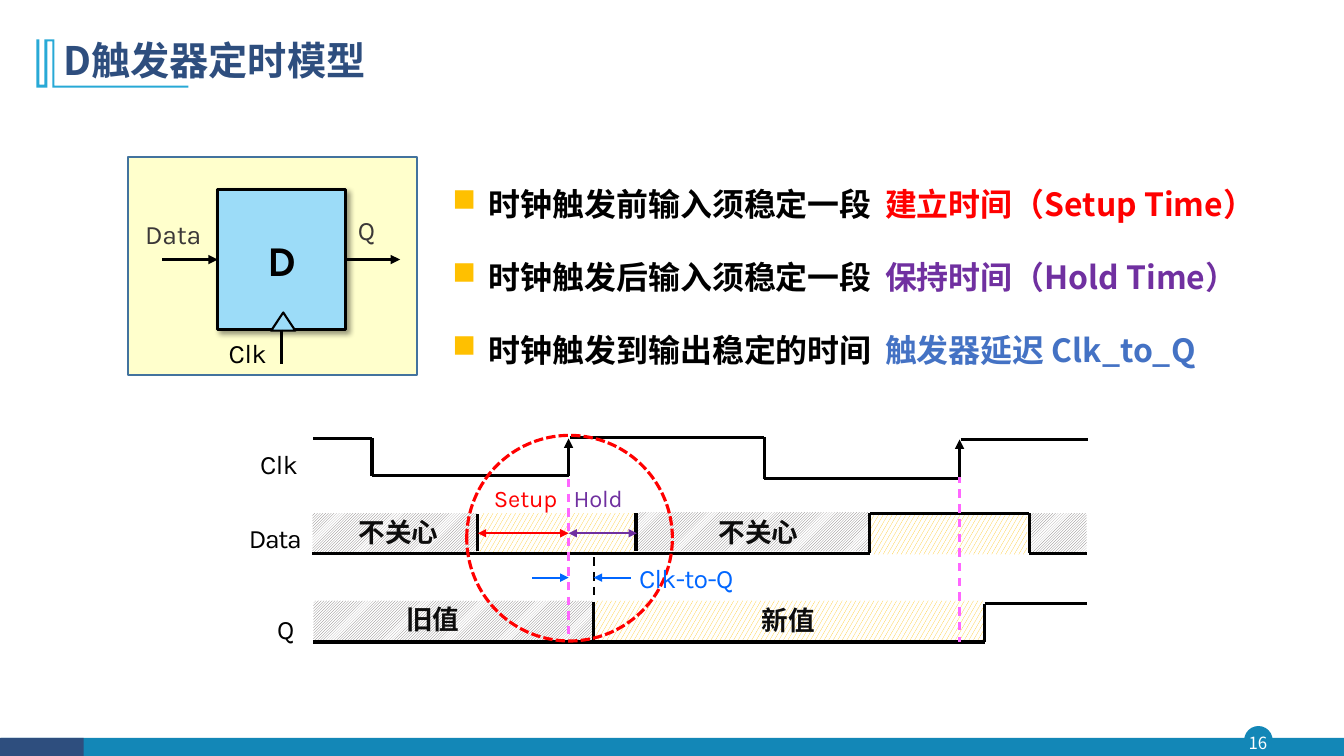
from dataclasses import dataclass
from itertools import pairwise

from lxml import etree
from pptx import Presentation
from pptx import util as u
from pptx.dml.color import RGBColor
from pptx.enum import dml, shapes, text
from pptx.oxml.ns import qn

Pt = u.Pt
Shape = shapes.MSO_SHAPE
Dash = dml.MSO_LINE
Align = text.PP_ALIGN
Spot = tuple[float, float]


@dataclass(frozen=True)
class Theme:
    sans: str = "Karla"
    han: str = "Noto Sans CJK SC"
    black: str = "000000"
    ink: str = "0D0D0D"
    gray: str = "3B3838"
    white: str = "FFFFFF"
    navy: str = "2E4E7E"
    teal: str = "1387B7"
    sky: str = "28A9D6"
    red: str = "FF0000"
    violet: str = "7030A0"
    blue: str = "0066FF"
    steel: str = "4472C4"
    pink: str = "FF66FF"
    gold: str = "FFC000"
    shade: str = "767171"
    cream: str = "FFFFCC"
    pale: str = "9CDCF8"
    edge: str = "43739E"
    title: float = 28
    body: float = 22.8
    gate: float = 30.3
    label: float = 19
    small: float = 17
    page: float = 12
    thick: float = 2.25
    thin: float = 1.5


T = Theme()


@dataclass(frozen=True)
class Label:
    text: str
    x: float
    y: float
    wide: float
    color: str = T.black
    font: str = T.sans
    size: float = T.label
    bold: bool = False
    space: int = -10


@dataclass(frozen=True)
class Wire:
    start: Spot
    end: Spot
    color: str = T.black
    width: float = T.thick
    dash: Dash | None = None
    head: bool = False
    tail: bool = False


@dataclass(frozen=True)
class Band:
    x: float
    y: float
    wide: float
    high: float = 28.1
    valid: bool = False


@dataclass(frozen=True)
class Point:
    lead: str
    term: str
    color: str


def rgb(code: str) -> RGBColor:
    return RGBColor.from_string(code)


def style(par, font: str, size: float, color: str, bold: bool = False, space: int = 0) -> None:
    """Set the paragraph font for Latin and Chinese text alike."""
    face = par.font
    face.name, face.size, face.bold = font, Pt(size), bold
    face.color.rgb = rgb(color)
    props = par._p.pPr.find(qn("a:defRPr"))
    etree.SubElement(props, qn("a:ea"), typeface=T.han)
    if space:
        props.set("spc", str(space))


def box(slide, x: float, y: float, wide: float, high: float, pad: bool = False):
    frame = slide.shapes.add_textbox(Pt(x), Pt(y), Pt(wide), Pt(high)).text_frame
    frame.word_wrap = True
    if not pad:
        frame.margin_left = frame.margin_right = frame.margin_top = frame.margin_bottom = 0
    return frame


def write(slide, item: Label) -> None:
    par = box(slide, item.x, item.y, item.wide, 20.2).paragraphs[0]
    par.text, par.line_spacing = item.text, Pt(19.8)
    style(par, item.font, item.size, item.color, item.bold, item.space)


def paint(shape, fill: str | None, line: str | None = None, width: float = 1) -> None:
    shape.shadow.inherit = False
    if fill:
        shape.fill.solid()
        shape.fill.fore_color.rgb = rgb(fill)
    else:
        shape.fill.background()
    if line:
        shape.line.color.rgb, shape.line.width = rgb(line), Pt(width)
    else:
        shape.line.fill.background()


def draw(slide, kind: Shape, x: float, y: float, wide: float, high: float,
         fill: str | None, line: str | None = None, width: float = 1):
    shape = slide.shapes.add_shape(kind, Pt(x), Pt(y), Pt(wide), Pt(high))
    paint(shape, fill, line, width)
    return shape


def hatch(slide, band: Band) -> None:
    fill = draw(slide, Shape.RECTANGLE, band.x, band.y, band.wide, band.high, None).fill
    fill.patterned()
    kinds = dml.MSO_PATTERN
    fill.pattern = kinds.LARGE_CONFETTI if band.valid else kinds.LIGHT_UPWARD_DIAGONAL
    fill.fore_color.rgb = rgb(T.gold if band.valid else T.shade)
    fill.back_color.rgb = rgb(T.white)


def link(slide, wire: Wire):
    ends = [Pt(n) for n in (*wire.start, *wire.end)]
    line = slide.shapes.add_connector(shapes.MSO_CONNECTOR.STRAIGHT, *ends)
    line.line.color.rgb, line.line.width = rgb(wire.color), Pt(wire.width)
    if wire.dash:
        line.line.dash_style = wire.dash
    props = line._element.spPr
    for tag, on in (("a:headEnd", wire.head), ("a:tailEnd", wire.tail)):
        if on:
            etree.SubElement(props.find(qn("a:ln")), qn(tag), type="triangle")
    etree.SubElement(props, qn("a:effectLst"))
    return line


def frame(slide) -> None:
    """Draw the footer, the page number and the title with its mark."""
    draw(slide, Shape.OVAL, 889.2, 519.1, 19.4, 19.4, T.teal, T.teal)
    draw(slide, Shape.RECTANGLE, 0.7, 527, 959.3, 13.7, T.teal)
    draw(slide, Shape.RECTANGLE, 0, 527, 59.8, 13.7, T.navy)
    page = box(slide, 887, 519.1, 23, 22.3)
    page.vertical_anchor = text.MSO_ANCHOR.MIDDLE
    par = page.paragraphs[0]
    par.text, par.alignment = "16", Align.CENTER
    style(par, T.han, T.page, T.white)
    mark = [(38.9, 28.1), (38.9, 61.2), (134.6, 61.2), (134.6, 62.6), (37.4, 62.6), (37.4, 29.5),
            (33.8, 29.5), (33.8, 62.6), (25.9, 62.6), (25.9, 28.1), (28.1, 28.1), (28.1, 60.5),
            (31.7, 60.5), (31.7, 28.1)]
    spots = [(Pt(x), Pt(y)) for x, y in mark]
    form = slide.shapes.build_freeform(*spots[0])
    form.add_line_segments(spots[1:], close=True)
    paint(form.convert_to_shape(), T.sky)
    head = box(slide, 38.2, 20.2, 828, 49, pad=True)
    head.vertical_anchor = text.MSO_ANCHOR.MIDDLE
    par = head.paragraphs[0]
    par.text, par.line_spacing = "D触发器定时模型", 0.9
    style(par, T.han, T.title, T.navy, True)


def listing(slide, points: list[Point]) -> None:
    body = box(slide, 316.1, 114.5, 608.4, 155.5, pad=True)
    for i, point in enumerate(points):
        par = body.add_paragraph() if i else body.paragraphs[0]
        par.line_spacing, par.space_after = 1.5, Pt(5.7)
        par.space_before = Pt(5.7 if i else 0)
        props = par._p.get_or_add_pPr()
        props.set("marL", str(Pt(26)))
        props.set("indent", str(Pt(-26)))
        tint = etree.SubElement(props, qn("a:buClr"))
        etree.SubElement(tint, qn("a:srgbClr"), val=T.gold)
        etree.SubElement(props, qn("a:buChar"), char="■")
        tabs = etree.SubElement(props, qn("a:tabLst"))
        etree.SubElement(tabs, qn("a:tab"), pos=str(Pt(309)), algn="l")
        style(par, T.han, T.body, T.black, True)
        par.add_run().text = point.lead + "\t"
        term = par.add_run()
        term.text, term.font.color.rgb = point.term, rgb(point.color)


def latch(slide) -> None:
    """Draw the flip-flop symbol with its three pins."""
    draw(slide, Shape.RECTANGLE, 91.4, 112.3, 206.6, 155.5, T.cream, T.edge)
    gate = draw(slide, Shape.RECTANGLE, 155.5, 135.4, 91.4, 100, T.pale, T.black, T.thick)
    glow = etree.SubElement(gate._element.spPr.find(qn("a:effectLst")), qn("a:outerShdw"),
                            blurRad=str(Pt(4)), dist=str(Pt(3)), dir="2700000")
    tint = etree.SubElement(glow, qn("a:srgbClr"), val=T.black)
    etree.SubElement(tint, qn("a:alpha"), val="40000")
    gate.text_frame.vertical_anchor = text.MSO_ANCHOR.MIDDLE
    par = gate.text_frame.paragraphs[0]
    par.text, par.alignment = "D", Align.CENTER
    style(par, T.sans, T.gate, T.black, True)
    draw(slide, Shape.ISOSCELES_TRIANGLE, 193.7, 223.2, 17.3, 13, T.pale, T.black, T.thin)
    link(slide, Wire((115.9, 185.4), (155.5, 185.4), tail=True)).end_connect(gate, 1)
    link(slide, Wire((246.9, 185.4), (285.8, 185.4), tail=True)).begin_connect(gate, 3)
    link(slide, Wire((201.2, 235.4), (201.2, 260))).begin_connect(gate, 2)


POINTS = [
    Point("时钟触发前输入须稳定一段", "建立时间（Setup Time）", T.red),
    Point("时钟触发后输入须稳定一段", "保持时间（Hold Time）", T.violet),
    Point("时钟触发到输出稳定的时间", "触发器延迟 Clk_to_Q", T.steel),
]
BANDS = [
    Band(223.2, 366.5, 118.4), Band(342.7, 366.5, 111.6, valid=True), Band(455.8, 365.8, 164.9),
    Band(622.1, 366.5, 111.6, 29.5, True), Band(736.6, 366.5, 39.6),
    Band(223.9, 429.1, 199.4), Band(424.1, 429.1, 279.4, valid=True),
]
TRACES = [
    [(223.9, 313.2), (265.7, 313.2), (265.7, 339.8), (406.1, 339.8)],
    [(406.8, 312.5), (545.8, 312.5), (545.8, 342), (685.4, 342)],
    [(686.2, 313.9), (776.9, 313.9)],
    [(223.2, 395.3), (341.3, 395.3), (454.3, 395.3), (621.4, 395.3), (621.4, 366.5),
     (735.1, 366.5), (735.1, 395.3), (776.2, 395.3)],
    [(341.3, 367.2), (341.3, 393.8)],
    [(454.3, 366.5), (454.3, 393.8)],
    [(223.9, 458.6), (424.1, 458.6), (703.4, 458.6), (703.4, 431.3), (776.2, 431.3)],
    [(424.1, 429.8), (424.1, 457.2)],
]
MARKS = [
    Wire((424.1, 398.2), (424.1, 427), width=T.thin, dash=Dash.DASH),
    Wire((424.1, 412.6), (450.7, 412.6), T.blue, T.thin, head=True),
    Wire((380.2, 412.6), (406.1, 412.6), T.blue, T.thin, tail=True),
    Wire((341.3, 380.9), (406.1, 380.9), T.red, T.thin, head=True, tail=True),
    Wire((406.1, 380.9), (455, 380.9), T.violet, T.thin, head=True, tail=True),
    Wire((406.1, 342), (406.1, 457.2), T.pink, T.thin, Dash.DASH),
    Wire((685.4, 339.1), (685.4, 458.6), T.pink, T.thin, Dash.DASH),
    Wire((406.1, 339.8), (406.1, 313.2), tail=True),
    Wire((685.4, 340.6), (685.4, 313.9), tail=True),
]
LABELS = [
    Label("Data", 103.7, 158.4, 67.7, T.gray), Label("Q", 255.6, 155.5, 47.5, T.gray),
    Label("Clk", 163.4, 243.4, 37.4, space=-30), Label("Clk", 185.8, 322.6, 37.4, space=-30),
    Label("Data", 177.8, 375.8, 45.4, space=-90), Label("Q", 198, 440.6, 15.1, space=-90),
    Label("不关心", 256.3, 371.5, 67.7, T.ink, T.han, bold=True),
    Label("不关心", 513.4, 371.5, 67.7, T.ink, T.han, bold=True),
    Label("旧值", 290.2, 433.4, 67.7, T.ink, T.han, bold=True),
    Label("新值", 544.3, 434.2, 67.7, T.ink, T.han, bold=True),
    Label("Setup", 352.8, 346.3, 49.7, T.red, size=T.small),
    Label("Hold", 409.7, 346.3, 49.7, T.violet, size=T.small),
    Label("Clk-to-Q", 456.5, 404.2, 95, T.blue, space=-45),
]


def main() -> None:
    deck = Presentation()
    deck.slide_width, deck.slide_height = Pt(960), Pt(540)
    slide = deck.slides.add_slide(deck.slide_layouts[6])
    frame(slide)
    listing(slide, POINTS)
    latch(slide)
    for band in BANDS:
        hatch(slide, band)
    for trace in TRACES:
        for start, end in pairwise(trace):
            link(slide, Wire(start, end))
    ring = draw(slide, Shape.OVAL, 333.4, 311, 146.9, 146.9, None, T.red, T.thick)
    ring.line.dash_style = Dash.SQUARE_DOT
    for mark in MARKS:
        link(slide, mark)
    for label in LABELS:
        write(slide, label)


    deck.save("out.pptx")


if __name__ == "__main__":
    main()
